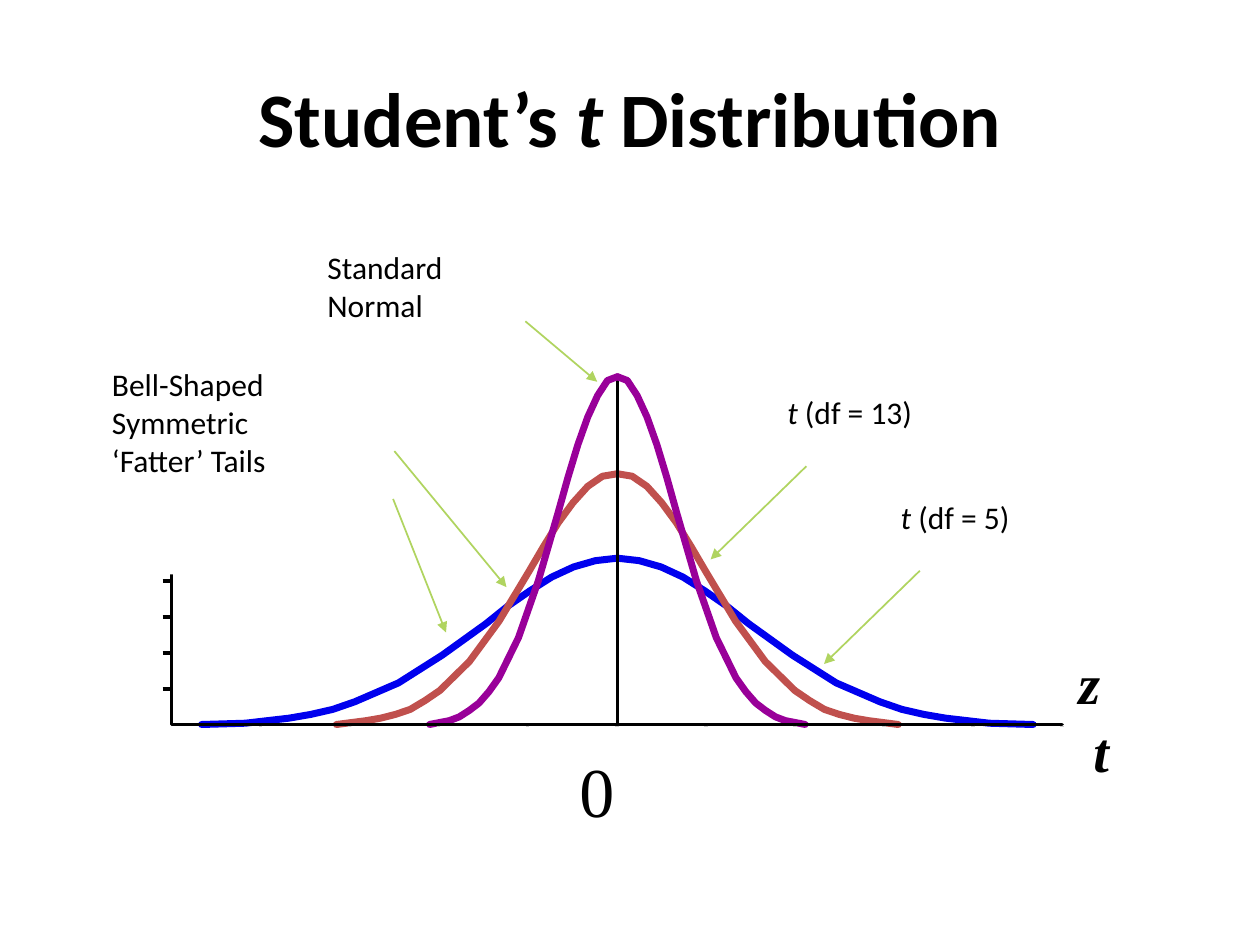
from dataclasses import dataclass

from lxml.etree import SubElement
from pptx import Presentation
from pptx.dml.color import RGBColor
from pptx.enum.shapes import MSO_CONNECTOR, MSO_SHAPE
from pptx.enum.text import MSO_ANCHOR, PP_ALIGN
from pptx.oxml.ns import qn
from pptx.util import Inches, Pt


@dataclass(frozen=True)
class Theme:
    ink: RGBColor = RGBColor(0, 0, 0)
    paper: RGBColor = RGBColor(0xFF, 0xFF, 0xFF)
    df5: RGBColor = RGBColor(0, 0, 0xEE)
    df13: RGBColor = RGBColor(0xC0, 0x50, 0x4D)
    normal: RGBColor = RGBColor(0x99, 0, 0x99)
    arrow: RGBColor = RGBColor(0xB0, 0xD4, 0x60)
    faint: RGBColor = RGBColor(0xCD, 0xCD, 0xCD)
    sans: str = "Calibri"
    serif: str = "Times New Roman"
    title: int = 44
    zero: int = 40
    variable: int = 32
    label: int = 18


theme = Theme()
prs = Presentation()
prs.slide_width, prs.slide_height = Inches(10), Inches(7.5)
slide = prs.slides.add_slide(prs.slide_layouts[5])
shapes = slide.shapes


def draw_path(points, color, width):
    """Draw an open, unfilled path through points given in inches."""
    corners = [(Inches(x), Inches(y)) for x, y in points]
    builder = shapes.build_freeform(*corners[0], scale=1.0)
    builder.add_line_segments(corners[1:], close=False)
    outline = builder.convert_to_shape()
    outline.shadow.inherit = False
    outline.fill.background()
    outline.line.color.rgb = color
    outline.line.width = Pt(width)
    outline.line._get_or_add_ln().set("cap", "rnd")


def draw_line(x1, y1, x2, y2, color, width, arrow=False):
    """Draw a straight line, with an arrowhead at its end if asked."""
    line = shapes.add_connector(
        MSO_CONNECTOR.STRAIGHT, Inches(x1), Inches(y1), Inches(x2), Inches(y2))
    line.line.color.rgb = color
    line.line.width = Pt(width)
    if arrow:
        SubElement(line.line._get_or_add_ln(), qn("a:tailEnd"), type="triangle")
    SubElement(line._element.spPr, qn("a:effectLst"))


# Title
title = shapes.title
title.left, title.top = Inches(0.5), Inches(0.3)
title.width, title.height = Inches(9), Inches(1.25)
title.text_frame.vertical_anchor = MSO_ANCHOR.MIDDLE
heading = title.text_frame.paragraphs[0]
heading.alignment = PP_ALIGN.CENTER
heading.font.name, heading.font.size = theme.sans, Pt(theme.title)
heading.font.bold = True
heading.font.color.rgb = theme.ink
for words, italic in (("Student’s ", False), ("t", True), (" Distribution", False)):
    run = heading.add_run()
    run.text, run.font.italic = words, italic

# Bell curves: each half runs from the tail to the peak over the mean.
# Points sit on a 20-step grid, with some steps skipped.
mean, base = 4.9, 5.75
df5_heights = [5.75, 5.74, 5.72, 5.7, 5.67, 5.63, 5.57, 5.42, 5.2, 4.95,
               4.81, 4.69, 4.58, 4.5, 4.45, 4.43]
df5_steps = [19, 17, 16, 15, 14, 13, 12, 10, 8, 6, 5, 4, 3, 2, 1, 0]
df13_heights = [5.75, 5.72, 5.7, 5.67, 5.63, 5.56, 5.48, 5.25, 4.93, 4.54,
                4.34, 4.15, 3.99, 3.86, 3.78, 3.76]
normal_heights = [5.75, 5.72, 5.69, 5.64, 5.58, 5.49, 5.38, 5.06, 4.61, 4.07,
                  3.79, 3.53, 3.31, 3.14, 3.02, 2.99]
curves = [
    (df5_heights, 3.3, theme.df5),
    (df13_heights, 2.23, theme.df13),
    (normal_heights, 1.49, theme.normal),
]
for heights, half_width, color in curves:
    if heights is normal_heights:  # the centre line lies under this curve
        draw_line(mean, 3, mean, 5.74, theme.ink, 2)
    for side in (1, -1):
        half = [(mean + side * half_width * step / df5_steps[0], y)
                for step, y in zip(df5_steps, heights)]
        draw_path(half, color, 4)

# Axes and tick marks
axis_left, axis_right = 1.36, 8.43
draw_path([(axis_left, 2.9), (axis_left, base), (axis_right, base)], theme.ink, 2)
for i in range(4):
    y = 4.61 + i * 0.86 / 3
    draw_line(1.29, y, 1.35, y, theme.ink, 2)
for i in range(10):
    x = axis_right - i * (axis_right - axis_left) / 10
    draw_line(x, 5.76, x, 5.77, theme.faint, 2)

# Axis names and the mean: text, place, size, slanted, wrapped
axis_names = [
    ("z", (8.46, 5.1, 0.37, 0.63), theme.variable, True, False),
    ("t", (8.58, 5.64, 0.32, 0.63), theme.variable, True, False),
    ("0", (4.5, 5.88, 0.83, 0.76), theme.zero, False, True),
]
for text, place, size, slanted, wrapped in axis_names:
    name = shapes.add_textbox(*map(Inches, place))
    name.text_frame.word_wrap = wrapped
    paragraph = name.text_frame.paragraphs[0]
    paragraph.text = text
    paragraph.font.name, paragraph.font.size = theme.serif, Pt(size)
    paragraph.font.bold = paragraph.font.italic = slanted
    paragraph.font.color.rgb = theme.ink

# Curve labels, each made of an italic and an upright part
curve_labels = [
    ("t", " (df = 5)", (7.05, 3.9, 1.91, 0.5)),
    ("", "Standard Normal", (2.5, 1.92, 1.91, 0.91)),
    ("t", " (df = 13)", (6.15, 3.07, 1.91, 0.5)),
]
for symbol, words, place in curve_labels:
    label = shapes.add_textbox(*map(Inches, place))
    label.text_frame.word_wrap = True
    paragraph = label.text_frame.paragraphs[0]
    paragraph.font.name, paragraph.font.size = theme.sans, Pt(theme.label)
    paragraph.font.color.rgb = theme.ink
    if symbol:
        run = paragraph.add_run()
        run.text, run.font.italic = symbol, True
    paragraph.add_run().text = words

# Shared traits of the t curves
traits = shapes.add_shape(
    MSO_SHAPE.RECTANGLE, Inches(0.79), Inches(2.85), Inches(2.32), Inches(1.71))
traits.shadow.inherit = False
traits.fill.solid()
traits.fill.fore_color.rgb = theme.paper
traits.line.fill.background()
traits.text_frame.word_wrap = True
traits.text_frame.vertical_anchor = MSO_ANCHOR.TOP
traits.text_frame.text = "Bell-Shaped\nSymmetric\n‘Fatter’ Tails"
for paragraph in traits.text_frame.paragraphs:
    paragraph.alignment = PP_ALIGN.LEFT
    paragraph.font.name, paragraph.font.size = theme.sans, Pt(theme.label)
    paragraph.font.color.rgb = theme.ink

# Arrows from the labels to the curves
for ends in (
    (4.17, 2.55, 4.74, 3.03),
    (7.3, 4.53, 6.54, 5.27),
    (6.4, 3.7, 5.64, 4.44),
    (3.13, 3.58, 4.02, 4.66),
    (3.12, 3.96, 3.54, 5.02),
):
    draw_line(*ends, theme.arrow, 1, arrow=True)

prs.save("out.pptx")
